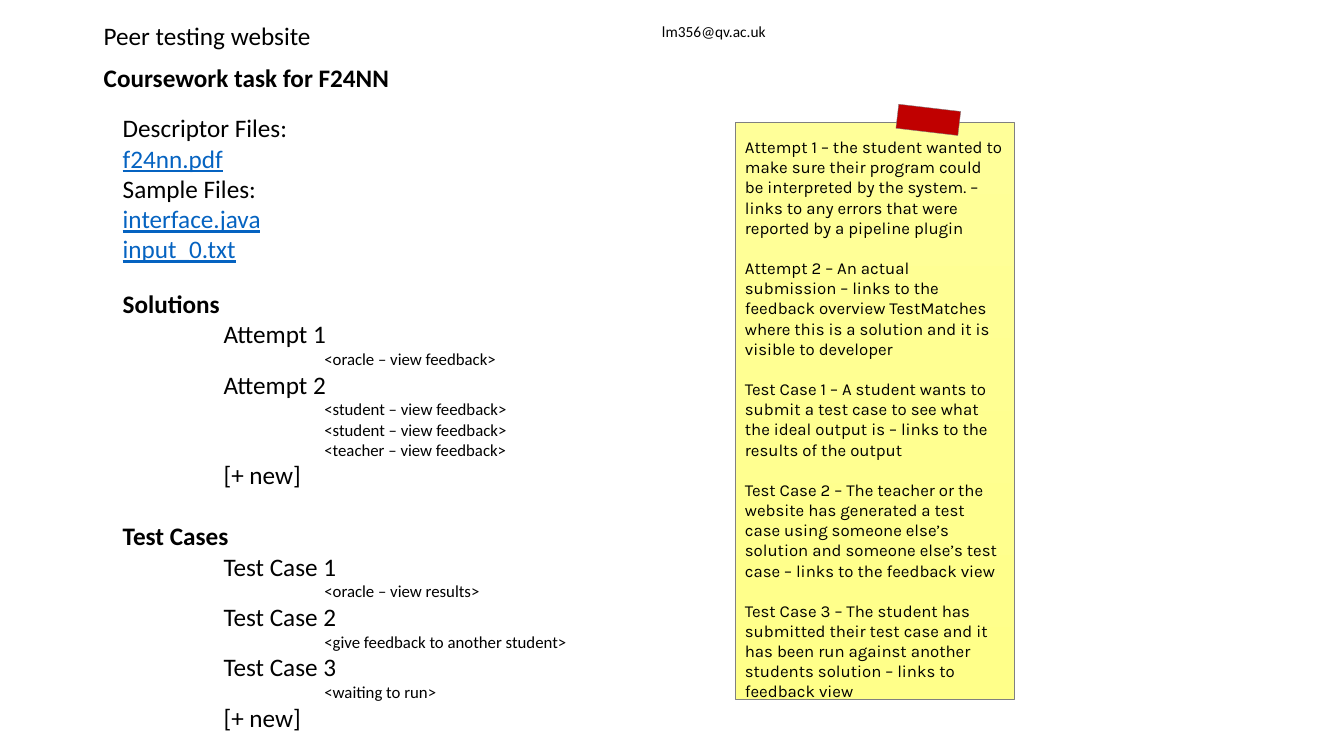
from pptx import Presentation
from pptx import util as u
from pptx.dml.color import RGBColor
from pptx.enum import shapes, text

BLACK = RGBColor(0x00, 0x00, 0x00)
LINK = RGBColor(0x05, 0x63, 0xC1)
NOTE_TOP = RGBColor(0xFF, 0xFF, 0x99)
NOTE_BOTTOM = RGBColor(0xFF, 0xFF, 0x89)
TAPE = RGBColor(0xC0, 0x00, 0x00)
OUTLINE = RGBColor(0x80, 0x80, 0x80)

INDENT = 72  # one outline level

prs = Presentation()
prs.slide_width, prs.slide_height = u.Pt(960), u.Pt(540)
slide = prs.slides.add_slide(prs.slide_layouts[6])


def write(frame, paragraphs, font="Calibri"):
    """Fill a frame with (text, font format, outline level, space before)."""
    frame.word_wrap = True
    frame.vertical_anchor = text.MSO_ANCHOR.TOP
    for i, (words, look, level, gap) in enumerate(paragraphs):
        para = frame.paragraphs[0] if i == 0 else frame.add_paragraph()
        para.alignment = text.PP_ALIGN.LEFT
        para.space_before = u.Pt(gap)
        para._p.get_or_add_pPr().set("marL", str(u.Pt(level * INDENT)))
        run = para.add_run()
        run.text = words
        run.font.name = font
        run.font.color.rgb = look.get("color", BLACK)
        for name, value in look.items():
            if name != "color":
                setattr(run.font, name, value)


def add_text(left, top, width, height, paragraphs):
    box = slide.shapes.add_textbox(*map(u.Pt, (left, top, width, height)))
    write(box.text_frame, paragraphs)


NORMAL = {"size": u.Pt(18)}
HEADING = {"size": u.Pt(18), "bold": True}
FILE = {"size": u.Pt(18), "underline": True, "color": LINK}
SMALL = {"size": u.Pt(12)}
EMAIL = {"size": u.Pt(11)}

# Page header
add_text(67, 41, 346.3, 29, [("Coursework task for F24NN", HEADING, 0, 0)])
add_text(67, 10.8, 372.2, 29, [("Peer testing website", NORMAL, 0, 0)])
add_text(465.8, 12.2, 189.4, 43.9, [("lm356@qv.ac.uk", EMAIL, 0, 0)])

# Coursework files
add_text(80.6, 77, 368.6, 116.6, [
    ("Descriptor Files:", NORMAL, 0, 0),
    ("f24nn.pdf", FILE, 0, 0),
    ("Sample Files:", NORMAL, 0, 0),
    ("interface.java", FILE, 0, 0),
    ("input_0.txt", FILE, 0, 0),
])

# Solutions and test cases: heading, then entries with their actions
sections = {
    "Solutions": [
        ("Attempt 1", ["<oracle – view feedback>"]),
        ("Attempt 2", ["<student – view feedback>",
                       "<student – view feedback>",
                       "<teacher – view feedback>"]),
        ("[+ new]", []),
    ],
    "Test Cases": [
        ("Test Case 1", ["<oracle – view results>"]),
        ("Test Case 2", ["<give feedback to another student>"]),
        ("Test Case 3", ["<waiting to run>"]),
        ("[+ new]", []),
    ],
}
outline = []
for heading, entries in sections.items():
    outline.append((heading, HEADING, 0, 22 if outline else 0))
    for entry, actions in entries:
        outline.append((entry, NORMAL, 1, 0))
        outline += [(action, SMALL, 2, 0) for action in actions]
add_text(80.6, 202.3, 368.6, 334, outline)

# Sticky note with tape
sticky = slide.shapes.add_group_shape()
note = sticky.shapes.add_shape(
    shapes.MSO_SHAPE.RECTANGLE, u.Pt(525), u.Pt(87), u.Pt(199.4), u.Pt(412.5))
note.fill.gradient()
note.fill.gradient_angle = 270
for stop, color, position in zip(note.fill.gradient_stops, (NOTE_TOP, NOTE_BOTTOM), (0, 1)):
    stop.color.rgb = color
    stop.position = position

tape = sticky.shapes.add_shape(
    shapes.MSO_SHAPE.RECTANGLE, u.Pt(640.8), u.Pt(77), u.Pt(44.6), u.Pt(17.3))
tape.rotation = 6.7
tape.fill.solid()
tape.fill.fore_color.rgb = TAPE

for part in (note, tape):
    part.shadow.inherit = False
    part.line.color.rgb = OUTLINE
    part.line.width = u.Pt(0.25)

remarks = [
    "Attempt 1 – the student wanted to make sure their program could be interpreted "
    "by the system. – links to any errors that were reported by a pipeline plugin",
    "Attempt 2 – An actual submission – links to the feedback overview TestMatches "
    "where this is a solution and it is visible to developer",
    "Test Case 1 – A student wants to submit a test case to see what the ideal output "
    "is – links to the results of the output",
    "Test Case 2 – The teacher or the website has generated a test case using someone "
    "else’s solution and someone else’s test case – links to the feedback view",
    "Test Case 3 – The student has submitted their test case and it has been run "
    "against another students solution – links to feedback view",
]
margins = {"margin_left": 7.2, "margin_top": 10.8, "margin_right": 7.2, "margin_bottom": 3.6}
for name, value in margins.items():
    setattr(note.text_frame, name, u.Pt(value))
write(note.text_frame,
      [(remark, SMALL, 0, 14.4 if i else 0) for i, remark in enumerate(remarks)], "Karla")

prs.save("out.pptx")
